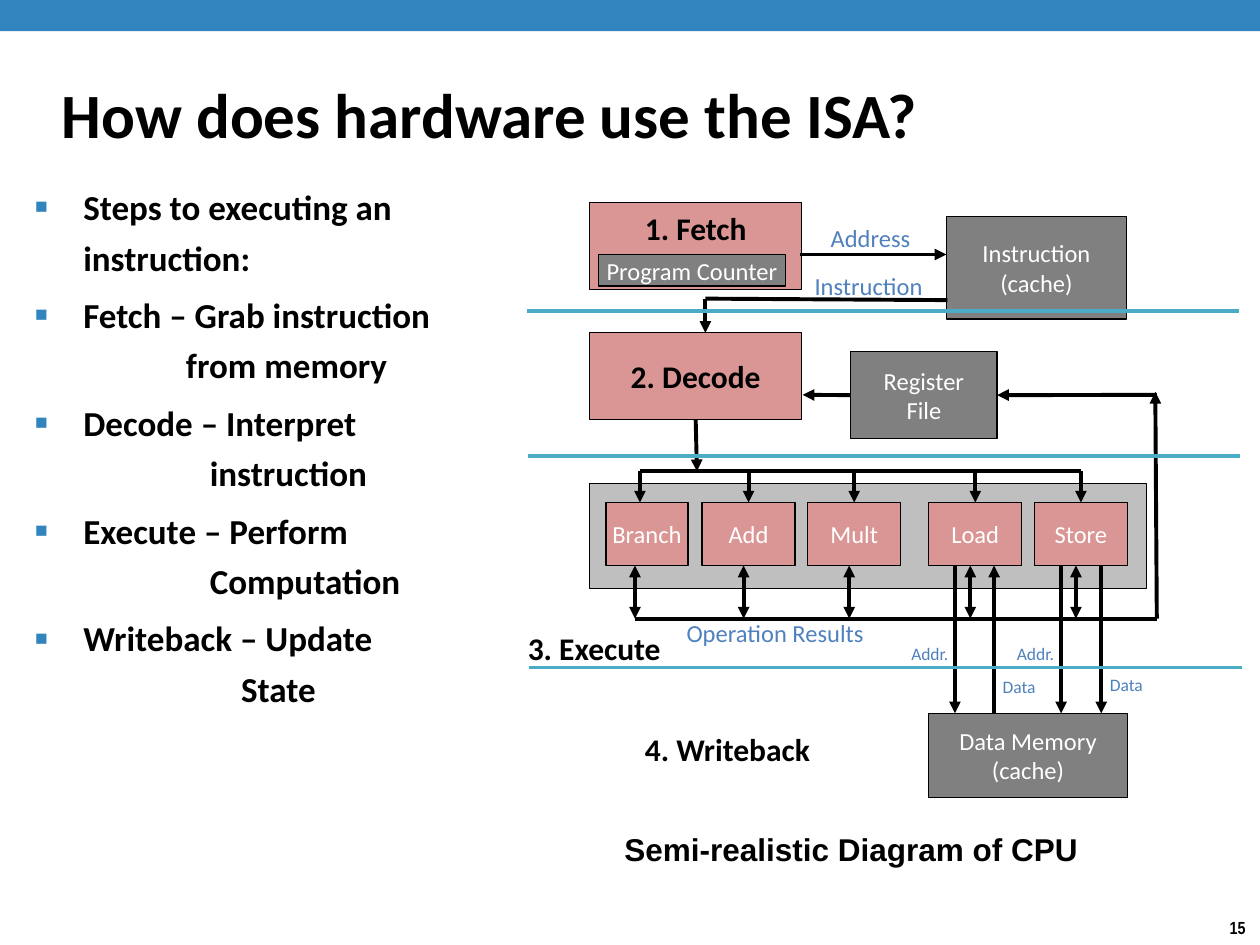
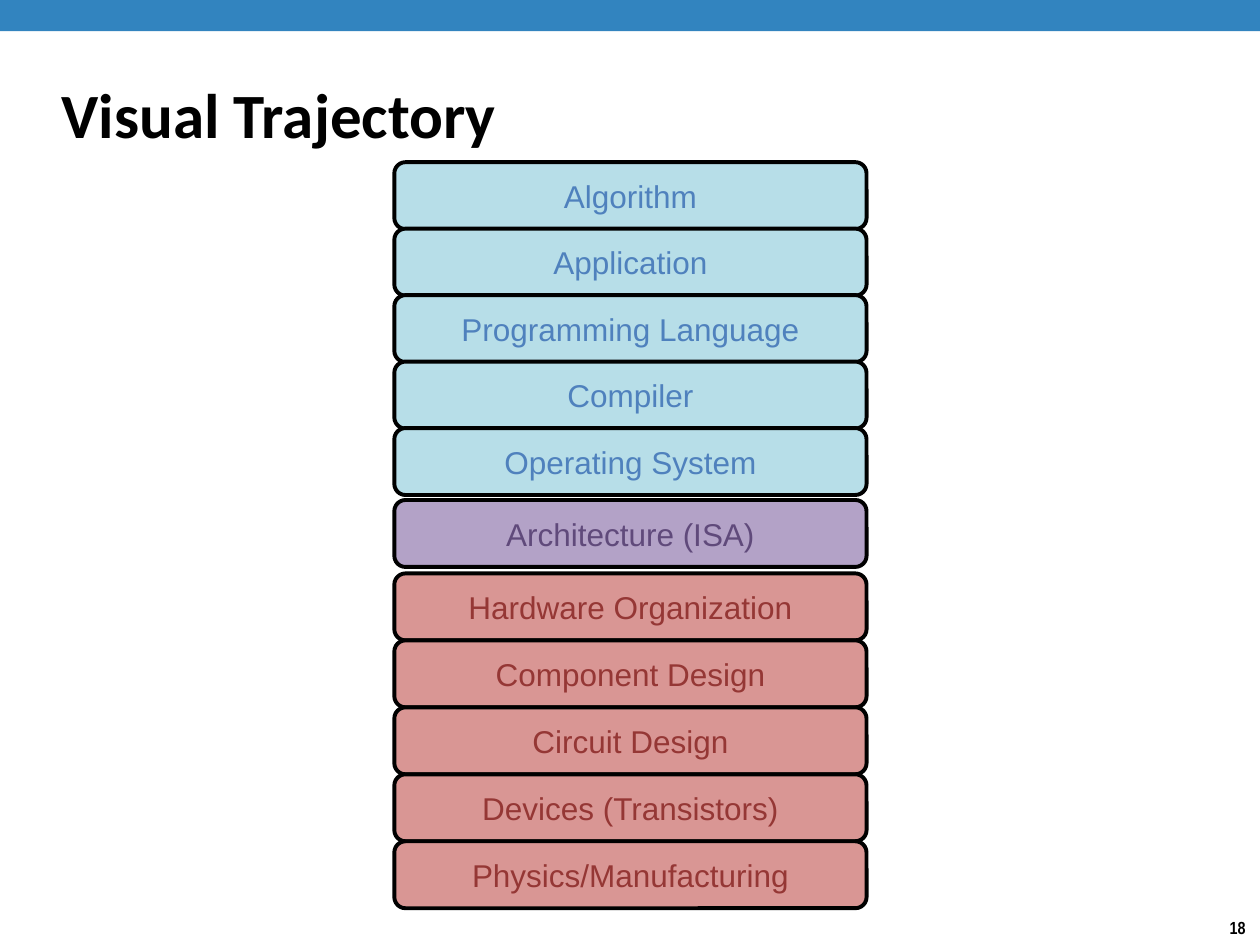
from lxml import etree
from pptx import Presentation
from pptx.dml.color import RGBColor
from pptx.enum.shapes import MSO_CONNECTOR, MSO_SHAPE
from pptx.enum.text import MSO_ANCHOR, MSO_AUTO_SIZE, PP_ALIGN
from pptx.oxml.ns import qn
from pptx.util import Cm, Pt

RECT, ROUND = MSO_SHAPE.RECTANGLE, MSO_SHAPE.ROUNDED_RECTANGLE
LINE = MSO_CONNECTOR.STRAIGHT
LEFT, MID = PP_ALIGN.LEFT, PP_ALIGN.CENTER
TOP, CENTER = MSO_ANCHOR.TOP, MSO_ANCHOR.MIDDLE
FIXED = MSO_AUTO_SIZE.NONE

HUES = {
    "band": "3284BF", "black": "000000", "white": "FFFFFF",
    "rose": "D99694", "gray": "808080", "pale": "BFBFBF",
    "blue": "4F81BD", "teal": "4BACC6", "sky": "B7DEE8",
    "wine": "953735", "lilac": "B3A2C7", "plum": "604A7B",
}

# Text formats
HEAD = {"name": "Calibri", "size": Pt(36), "bold": True}
BODY = {"name": "Calibri", "size": Pt(20), "bold": True}
STAGE = {"name": "Calibri", "size": Pt(18), "bold": True}
PART = {"name": "Calibri", "size": Pt(14), "bold": False}
SMALL = {"name": "Calibri", "size": Pt(10), "bold": False}
NOTE = {"name": "Arial", "size": Pt(18), "bold": True}
LAYER = {"name": "Arial", "size": Pt(18), "bold": False}
PAGE = {"name": "Arial Narrow", "size": Pt(10), "bold": True}


def rgb(hue):
    return RGBColor.from_string(HUES[hue])


def apply(target, form):
    for key, value in form.items():
        setattr(target, key, value)


def write(shape, text, font, hue, align=MID, anchor=CENTER, wrap=False):
    frame = shape.text_frame
    frame.text = text
    apply(frame, {"word_wrap": wrap, "auto_size": FIXED,
                  "vertical_anchor": anchor})
    for para in frame.paragraphs:
        para.alignment = align
        apply(para.font, font)
        para.font.color.rgb = rgb(hue)


def place(shape, spot):
    apply(shape, dict(zip(("left", "top", "width", "height"), map(Cm, spot))))


def box(slide, spot, fill, kind=RECT, edge=0.75):
    shape = slide.shapes.add_shape(kind, *map(Cm, spot))
    shape.shadow.inherit = False
    shape.fill.solid()
    shape.fill.fore_color.rgb = rgb(fill)
    if edge:
        shape.line.color.rgb = rgb("black")
        shape.line.width = Pt(edge)
    else:
        shape.line.fill.background()
    return shape


def block(slide, text, spot, fill="rose", font=PART, hue="white", anchor=CENTER):
    shape = box(slide, spot, fill)
    write(shape, text, font, hue, anchor=anchor)
    return shape


def label(slide, text, spot, font=PART, hue="blue", align=MID):
    shape = slide.shapes.add_textbox(*map(Cm, spot))
    write(shape, text, font, hue, align, TOP)


def link(slide, start, stop, ends="", hue="black", width=2.25,
         begin=None, end=None):
    """Draw a line; ends holds the names of the ends with an arrowhead."""
    line = slide.shapes.add_connector(LINE, *map(Cm, start + stop))
    if begin:
        line.begin_connect(*begin)
    if end:
        line.end_connect(*end)
    line.line.color.rgb = rgb(hue)
    line.line.width = Pt(width)
    for name in ends.split():
        tip = etree.SubElement(line.line._get_or_add_ln(), qn(f"a:{name}End"))
        tip.set("type", "triangle")
    etree.SubElement(line._element.spPr, qn("a:effectLst"))


def bullet(props):
    for tag, key, value in (("buSzPct", "val", "60000"),
                            ("buFont", "typeface", "Arial"),
                            ("buChar", "char", "■")):
        if tag == "buSzPct":
            tint = etree.SubElement(props, qn("a:buClr"))
            etree.SubElement(tint, qn("a:srgbClr")).set("val", HUES["band"])
        etree.SubElement(props, qn(f"a:{tag}")).set(key, value)


def steps(slide, spot, items):
    """Write bulleted steps, each with an optional indented second line."""
    shape = slide.shapes.add_textbox(*map(Cm, spot))
    rows = []
    for first, second, inset in items:
        rows.append((first, 0.97))
        if second:
            rows.append((second, inset))
    write(shape, "\n".join(text for text, _ in rows), BODY, "black",
          LEFT, TOP, True)
    for para, (_, inset) in zip(shape.text_frame.paragraphs, rows):
        marked = inset == 0.97
        apply(para, {"line_spacing": 1.2, "space_before": Pt(4 * marked)})
        props = para._p.get_or_add_pPr()
        props.set("marL", str(Cm(inset)))
        props.set("indent", str(-Cm(inset) if marked else 0))
        if marked:
            bullet(props)


def start(deck, title, page):
    """Add a slide with the shared band, title and page number."""
    slide = deck.slides.add_slide(deck.slide_layouts[5])
    box(slide, (0, 0, 25.4, 0.63), "band", edge=0)
    label(slide, page, (24.54, 18.36, 0.86, 0.69), PAGE, "black", LEFT)
    head = slide.shapes.title
    place(head, (0.99, 1.22, 21.08, 2.11))
    write(head, title, HEAD, "black", LEFT, wrap=True)
    return slide


def units(slide):
    """Draw the execute units between their two buses."""
    high, low, top, base = 9.5, 12.47, 10.13, 11.4
    box(slide, (11.89, 9.75, 11.23, 2.11), "pale")
    for name, left, wide, tap in (("Branch", 12.22, 1.65, 12.9),
                                  ("Add", 14.15, 1.88, 15.09),
                                  ("Mult", 16.28, 1.88, 17.22),
                                  ("Load", 18.72, 1.88, 19.66),
                                  ("Store", 20.85, 1.88, 21.79)):
        unit = block(slide, name, (left, top, wide, base - top))
        middle = abs(left + wide / 2 - tap) < 0.01
        link(slide, (tap, high), (tap, top), "tail",
             end=(unit, 0) if middle else None)
        link(slide, (tap - 0.1, base), (tap - 0.1, low), "head tail")
    link(slide, (12.9, high), (21.79, high))
    link(slide, (12.8, low), (23.32, low))


def store(slide):
    """Draw the data memory and its lines to the units."""
    base, top = 11.4, 14.38
    block(slide, "Data Memory\n(cache)", (18.72, top, 4.01, 1.7), "gray")
    for x, up in ((19.25, False), (20.04, True), (21.39, False), (22.2, False)):
        ends = ((x, top), (x, base)) if up else ((x, base), (x, top))
        link(slide, *ends, "tail")
    for text, x, y in (("Data", 22.07, 13.46), ("Data", 19.91, 13.51),
                       ("Addr.", 18.11, 12.83), ("Addr.", 20.24, 12.83)):
        label(slide, text, (x, y, 1.27, 0.69), SMALL)


def draw_cpu(slide):
    # Fetch and decode
    block(slide, "1. Fetch", (11.89, 4.09, 4.27, 1.75), "rose", STAGE,
          "black", TOP)
    block(slide, "Program Counter", (12.07, 5.13, 3.76, 0.64), "gray")
    decode = block(slide, "2. Decode", (11.89, 6.71, 4.27, 1.75), "rose",
                   STAGE, "black")
    block(slide, "Instruction\n(cache)", (19.08, 4.37, 3.63, 2.06), "gray")
    file = block(slide, "Register\nFile", (17.15, 7.09, 2.95, 1.75), "gray")

    units(slide)
    store(slide)

    # Paths between the stages
    link(slide, (16.13, 5.13), (19.08, 5.13), "tail")
    link(slide, (14.22, 6.02), (14.22, 6.71), "tail")
    link(slide, (14.03, 8.46), (14.05, 9.5), "tail", begin=(decode, 2))
    link(slide, (23.32, 12.47), (23.29, 7.9), "tail")
    link(slide, (23.32, 7.96), (20.1, 7.96), "tail", end=(file, 3))
    link(slide, (17.15, 7.96), (16.18, 7.96), "tail", begin=(file, 1))

    # Stage borders
    for x, y in ((10.62, 6.27), (10.64, 9.19), (10.67, 13.46)):
        link(slide, (x, y), (x + 14.36, y), hue="teal", width=2)
    link(slide, (19.1, 6.05), (14.22, 6.02))

    # Labels
    label(slide, "Address", (16.46, 4.37, 2.18, 0.86))
    label(slide, "Instruction", (16.15, 5.33, 2.72, 0.86))
    label(slide, "Operation Results", (13.59, 12.34, 4.22, 0.86), align=LEFT)
    for text, spot, font in (
            ("3. Execute", (10.39, 12.55, 2.64, 1.02), STAGE),
            ("4. Writeback", (12.75, 14.6, 3.83, 1.02), STAGE),
            ("Semi-realistic Diagram of CPU", (12.34, 16.61, 9.73, 1.02), NOTE)):
        label(slide, text, spot, font, "black", LEFT)


def stack(slide, top, pitch, fill, hue, names):
    for row, name in enumerate(names):
        spot = (7.95, top + row * pitch, 9.52, 1.35)
        write(box(slide, spot, fill, ROUND, 2.25), name, LAYER, hue)


def main():
    deck = Presentation()
    apply(deck, {"slide_width": Cm(25.4), "slide_height": Cm(19.05)})

    # Steps and processor diagram
    slide = start(deck, "How does hardware use the ISA?", "15")
    steps(slide, (0.46, 3.45, 9.6, 10.62), (
        ("Steps to executing an instruction:", "", 0),
        ("Fetch – Grab instruction", "from memory", 3.04),
        ("Decode – Interpret", "instruction", 3.52),
        ("Execute – Perform", "Computation", 3.52),
        ("Writeback – Update", "State", 4.15)))
    draw_cpu(slide)

    # Layers from software to hardware
    slide = start(deck, "Visual Trajectory", "18")
    stack(slide, 3.27, 1.34, "sky", "blue", (
        "Algorithm", "Application", "Programming Language", "Compiler",
        "Operating System"))
    stack(slide, 10.08, 1.35, "lilac", "plum", ("Architecture (ISA)",))
    stack(slide, 11.56, 1.35, "rose", "wine", (
        "Hardware Organization", "Component Design", "Circuit Design",
        "Devices (Transistors)", "Physics/Manufacturing"))

    deck.save("out.pptx")


if __name__ == "__main__":
    main()
